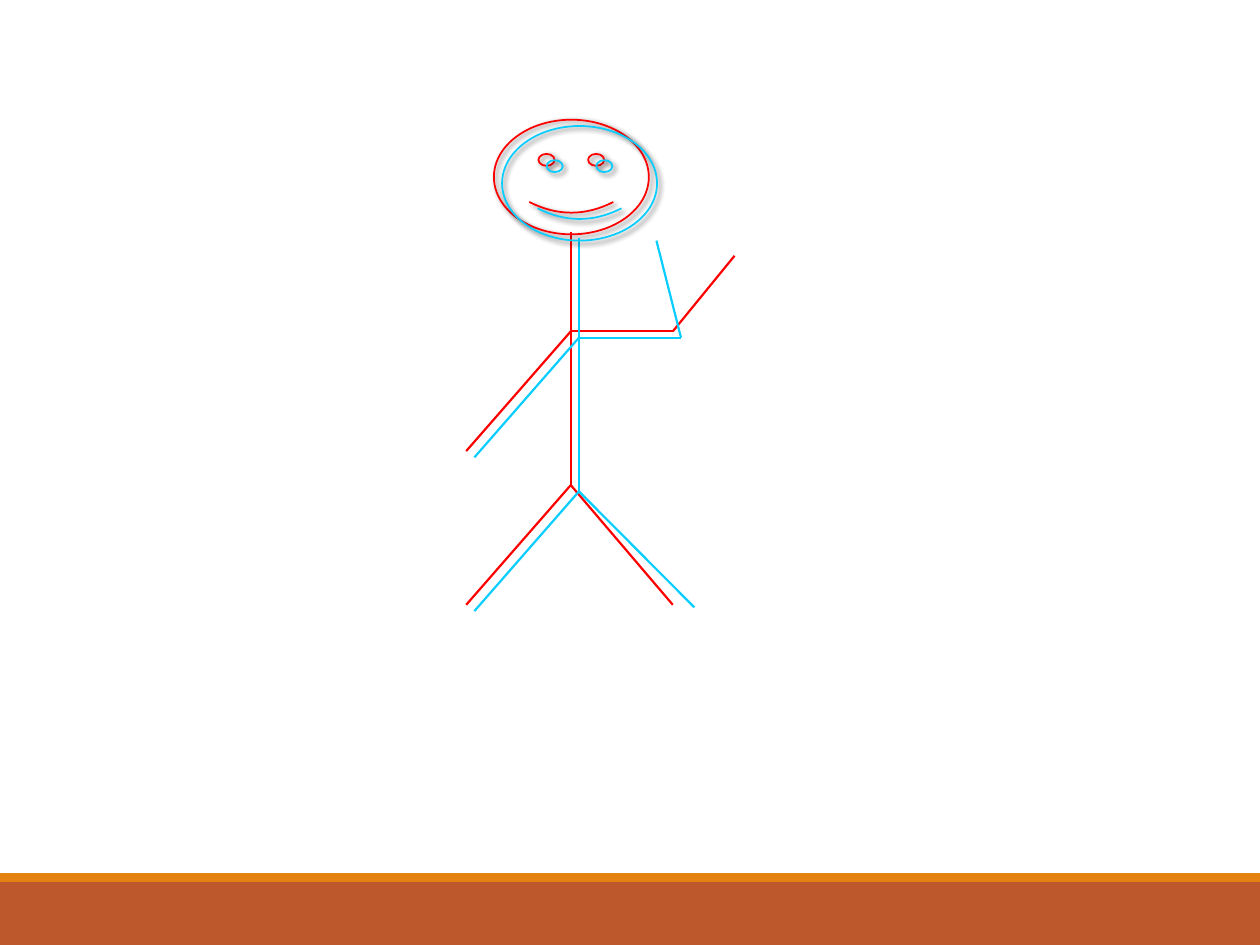
"""Build a slide with a waving stick figure drawn in two poses above a footer band."""
import pptx
import pptx.dml.color
import pptx.enum.shapes
import pptx.oxml
import pptx.oxml.ns
import pptx.util

RED = pptx.dml.color.RGBColor(0xFF, 0x00, 0x00)
BLUE = pptx.dml.color.RGBColor(0x09, 0xCC, 0xFF)
RUST = pptx.dml.color.RGBColor(0xBD, 0x58, 0x2C)
ORANGE = pptx.dml.color.RGBColor(0xE4, 0x83, 0x12)
SHAPE = pptx.enum.shapes.MSO_SHAPE
STRAIGHT = pptx.enum.shapes.MSO_CONNECTOR.STRAIGHT
COLUMNS, ROWS = 100, 75
SHADOW = (
    f'<a:outerShdw {pptx.oxml.ns.nsdecls("a")} blurRad="38100" dist="25400" dir="2700000" '
    'algn="ctr" rotWithShape="0"><a:srgbClr val="000000"><a:alpha val="60000"/>'
    '</a:srgbClr></a:outerShdw>'
)

deck = pptx.Presentation()
deck.slide_width = pptx.util.Inches(10)
deck.slide_height = pptx.util.Inches(7.5)
page = deck.slides.add_slide(deck.slide_layouts[6])


def place(column, row):
    """Turn a grid position into slide lengths."""
    return round(deck.slide_width * column / COLUMNS), round(deck.slide_height * row / ROWS)


def draw_limb(group, start, end, color):
    """Draw one straight limb between two grid points."""
    limb = group.shapes.add_connector(STRAIGHT, *place(*start), *place(*end))
    limb.line.color.rgb = color
    limb.line.width = pptx.util.Pt(1.25)
    limb._element.spPr.append(pptx.oxml.parse_xml(f'<a:effectLst {pptx.oxml.ns.nsdecls("a")}/>'))


for top, height, color in [(70, 5, RUST), (69.3, 0.7, ORANGE)]:
    band = page.shapes.add_shape(SHAPE.RECTANGLE, *place(0, top), *place(COLUMNS, height))
    band.shadow.inherit = False
    band.fill.solid()
    band.fill.fore_color.rgb = color
    band.line.fill.background()

poses = [
    (RED, 0, 0, (58.3, 20.3), (53.4, 48)),
    (BLUE, 0.65, 0.5, (52.1, 19.1), (55.1, 48.2)),
]
for color, right, down, waving_hand, right_foot in poses:
    figure = page.shapes.add_group_shape()
    neck, shoulder, hip, elbow, left_hand, left_foot = [
        (column + right, row + down)
        for column, row in [(45.3, 18.4), (45.3, 26.3), (45.3, 38.5),
                            (53.4, 26.3), (37, 35.8), (37, 48)]
    ]
    for start, end in [(neck, hip), (left_hand, shoulder), (shoulder, elbow), (elbow, waving_hand)]:
        draw_limb(figure, start, end, color)

    head = figure.shapes.add_shape(
        SHAPE.SMILEY_FACE, *place(39.2 + right, 9.5 + down), *place(12.3, 9.1))
    head.fill.background()
    head.line.color.rgb = color
    head.line.width = pptx.util.Pt(1)
    head.shadow.inherit = False
    effects = head._element.spPr.find(pptx.oxml.ns.qn("a:effectLst"))
    effects.append(pptx.oxml.parse_xml(SHADOW))

    for foot in (right_foot, left_foot):
        draw_limb(figure, foot, hip, color)

deck.save("out.pptx")
